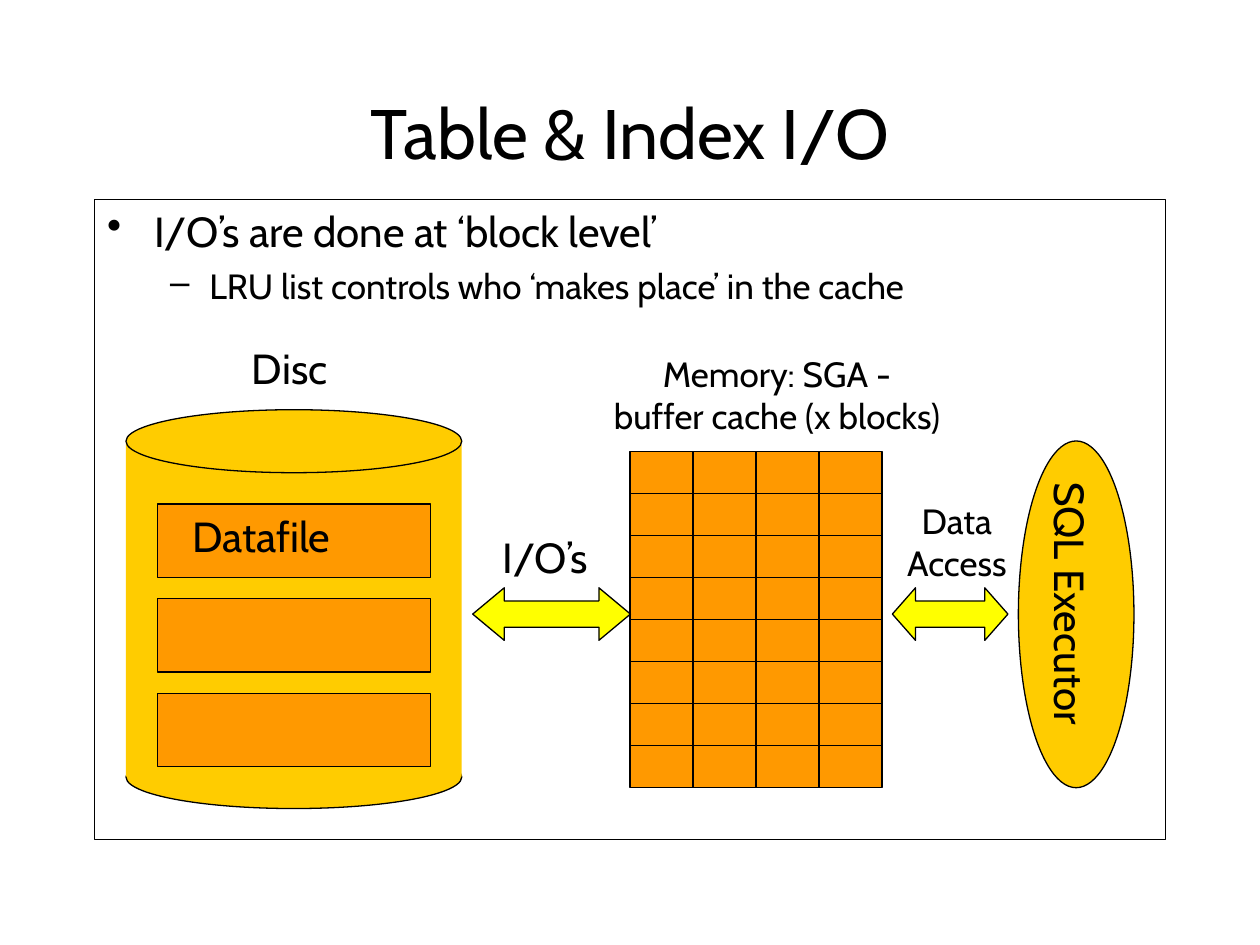
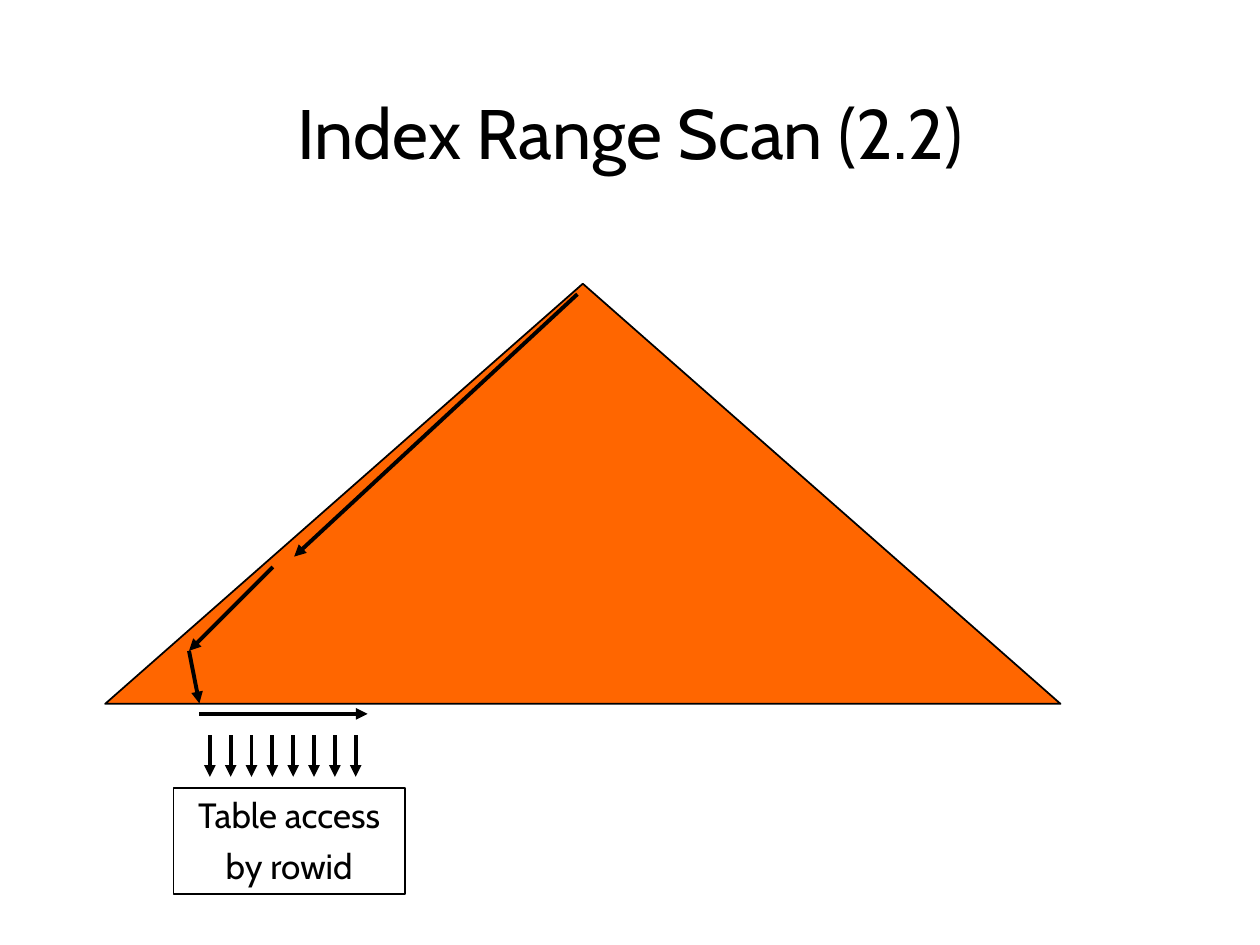
"""Build two slides on table and index access."""
from lxml import etree
from pptx import Presentation
from pptx.dml.color import RGBColor
from pptx.enum.shapes import MSO_CONNECTOR, MSO_SHAPE
from pptx.enum.text import MSO_ANCHOR, MSO_AUTO_SIZE, PP_ALIGN
from pptx.oxml.ns import qn
from pptx.util import Cm, Pt

RECT = MSO_SHAPE.RECTANGLE
ELLIPSE = MSO_SHAPE.OVAL
DOUBLE_ARROW = MSO_SHAPE.LEFT_RIGHT_ARROW
TRIANGLE = MSO_SHAPE.FLOWCHART_EXTRACT
STRAIGHT = MSO_CONNECTOR.STRAIGHT
LEFT, CENTER = PP_ALIGN.LEFT, PP_ALIGN.CENTER
TOP, MIDDLE = MSO_ANCHOR.TOP, MSO_ANCHOR.MIDDLE
FIT_SHAPE = MSO_AUTO_SIZE.SHAPE_TO_FIT_TEXT

FONT = "Cabin"
COLORS = {
    "ink": "000000",
    "gold": "FFCC00",
    "amber": "FF9900",
    "yellow": "FFFF00",
    "orange": "FF6600",
}
BULLETS = [("•", 0.95, -0.95, 24, 6), ("–", 2.06, -0.79, 20, 5)]


def color(name):
    return RGBColor.from_string(COLORS[name])


class Deck:
    def __init__(self):
        self.prs = Presentation()
        self.prs.slide_width, self.prs.slide_height = Cm(25.4), Cm(19.05)
        self.slide = None

    def new_slide(self, title):
        self.slide = self.prs.slides.add_slide(self.prs.slide_layouts[6])
        heading = self.text(title, 1.91, 1.69, 21.59, 1.91, size=40, align=CENTER, wrap=True)
        heading.text_frame.auto_size = MSO_AUTO_SIZE.NONE
        heading.text_frame.vertical_anchor = MIDDLE

    def style(self, paragraph, size, align=LEFT):
        paragraph.alignment = align
        for run in paragraph.runs:
            run.font.name = FONT
            run.font.size = Pt(size)
            run.font.color.rgb = color("ink")

    def text(self, content, left, top, width, height, size=24, align=LEFT, wrap=False):
        label = self.slide.shapes.add_textbox(Cm(left), Cm(top), Cm(width), Cm(height))
        frame = label.text_frame
        frame.text = content
        frame.word_wrap = wrap
        frame.auto_size = FIT_SHAPE
        for paragraph in frame.paragraphs:
            self.style(paragraph, size, align)
        return label

    def outline(self, shape, weight):
        shape.line.color.rgb = color("ink")
        shape.line.width = Pt(weight)

    def shape(self, kind, left, top, width, height, fill=None, weight=0.75):
        shape = self.slide.shapes.add_shape(kind, Cm(left), Cm(top), Cm(width), Cm(height))
        shape.shadow.inherit = False
        if fill:
            shape.fill.solid()
            shape.fill.fore_color.rgb = color(fill)
        else:
            shape.fill.background()
        if weight:
            self.outline(shape, weight)
        else:
            shape.line.fill.background()
        return shape

    def double_arrow(self, left, width, head):
        arrow = self.shape(DOUBLE_ARROW, left, 11.85, width, 1.06, "yellow")
        arrow.adjustments[0] = 0.5
        arrow.adjustments[1] = head

    def line(self, x1, y1, x2, y2, weight=0.75):
        line = self.slide.shapes.add_connector(STRAIGHT, Cm(x1), Cm(y1), Cm(x2), Cm(y2))
        self.outline(line, weight)
        etree.SubElement(line._element.spPr, qn("a:effectLst"))
        return line

    def arrow(self, x1, y1, x2, y2):
        arrow = self.line(x1, y1, x2, y2, weight=2.25)
        etree.SubElement(arrow.line._get_or_add_ln(), qn("a:tailEnd"), type="triangle")

    def bullets(self, shape, items):
        frame = shape.text_frame
        frame.text = "\n".join(content for level, content in items)
        frame.word_wrap = True
        frame.vertical_anchor = TOP
        for index, (level, content) in enumerate(items):
            paragraph = frame.paragraphs[index]
            mark, margin, indent, size, before = BULLETS[level]
            paragraph.level = level
            props = paragraph._p.get_or_add_pPr()
            props.set("marL", str(Cm(margin)))
            props.set("indent", str(Cm(indent)))
            etree.SubElement(props, qn("a:buChar"), char=mark)
            if index:
                paragraph.space_before = Pt(before)
            self.style(paragraph, size)


def table_and_index_io(deck):
    deck.new_slide("Table & Index I/O")
    body = deck.shape(RECT, 1.91, 4.02, 21.59, 12.91)
    deck.bullets(body, [
        (0, "I/O’s are done at ‘block level’"),
        (1, "LRU list controls who ‘makes place’ in the cache"),
    ])

    disc_left, disc_width = 2.54, 6.77
    deck.shape(ELLIPSE, disc_left, 15.03, disc_width, 1.27, "gold")
    deck.shape(RECT, disc_left, 8.89, disc_width, 6.77, "gold", weight=0)
    deck.shape(ELLIPSE, disc_left, 8.26, disc_width, 1.27, "gold")
    for datafile in range(3):
        deck.shape(RECT, 3.18, 10.16 + 1.91 * datafile, 5.5, 1.48, "amber")
    deck.text("Disc", 4.83, 6.77, 2.16, 1.27)
    deck.text("Datafile", 3.63, 10.16, 3.58, 1.27)

    left, top, width, height = 12.7, 9.1, 5.08, 6.77
    columns, rows = 4, 8
    deck.shape(RECT, left, top, width, height, "amber")
    for column in range(1, columns):
        x = left + width * column / columns
        deck.line(x, top, x, top + height)
    for row in range(1, rows):
        y = top + height * row / rows
        deck.line(left, y, left + width, y)
    deck.text("Memory: SGA -\nbuffer cache (x blocks)", 11.22, 6.99, 8.89, 1.96,
              size=20, align=CENTER, wrap=True)

    deck.double_arrow(9.53, 3.18, 0.6)
    deck.text("I/O’s", 9.88, 10.58, 2.31, 1.27)
    deck.double_arrow(17.99, 2.33, 0.44)
    deck.text("Data\nAccess", 17.93, 9.95, 2.72, 1.96, size=20, align=CENTER)

    deck.shape(ELLIPSE, 20.53, 8.89, 2.33, 6.99, "gold")
    executor = deck.text("SQL Executor", 18.69, 11.73, 5.79, 1.27)
    executor.rotation = 90


def index_range_scan(deck):
    deck.new_slide("Index Range Scan (2.2)")
    deck.shape(TRIANGLE, 2.12, 5.72, 19.26, 8.47, "orange", weight=1)
    deck.arrow(11.64, 5.93, 5.93, 11.22)
    deck.arrow(5.5, 11.43, 3.81, 13.12)
    deck.arrow(3.81, 13.12, 4.02, 14.18)
    deck.arrow(4.02, 14.39, 7.41, 14.39)
    for rowid in range(8):
        x = 4.23 + 0.42 * rowid
        deck.arrow(x, 14.82, x, 15.66)
    access = deck.text("Table access\nby rowid", 3.5, 15.88, 4.66, 2.14, size=20, align=CENTER)
    access.text_frame.paragraphs[1].space_before = Pt(5)
    deck.outline(access, 1)


def main():
    deck = Deck()
    table_and_index_io(deck)
    index_range_scan(deck)
    deck.prs.save("out.pptx")


if __name__ == "__main__":
    main()
